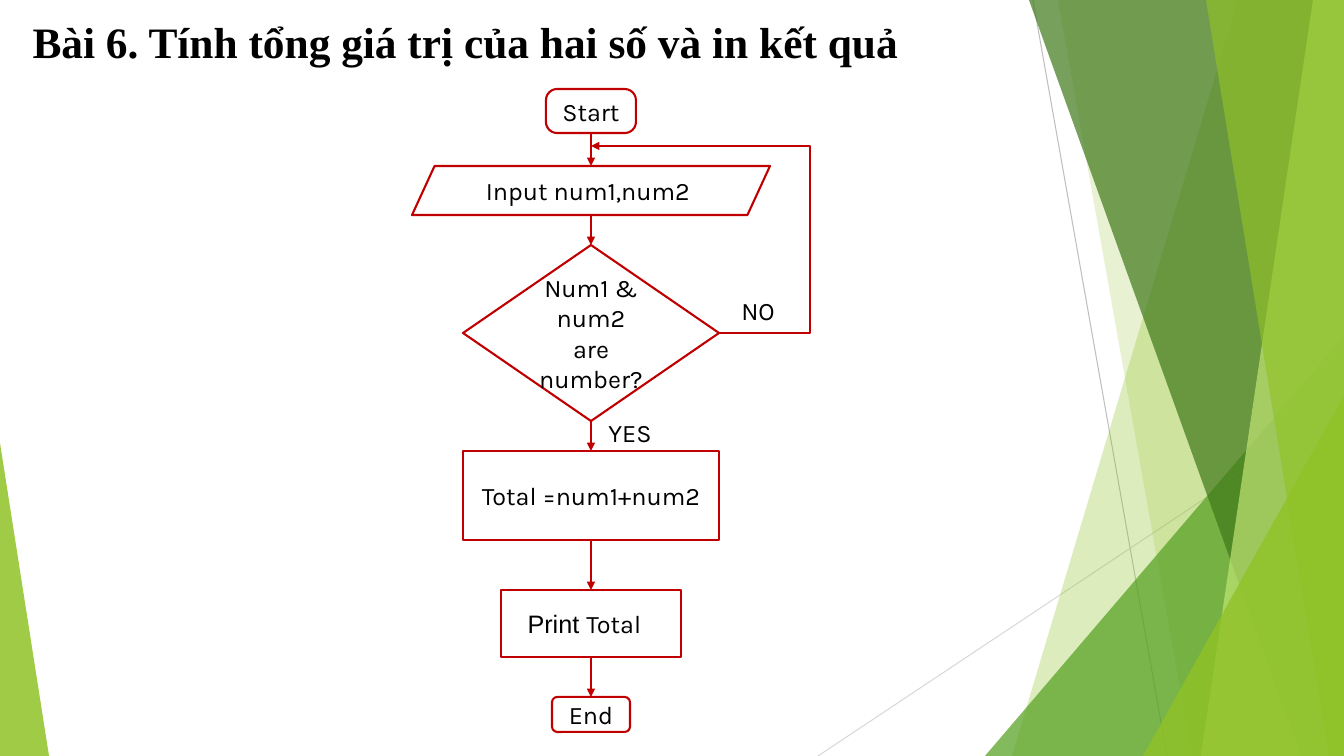
from itertools import pairwise

from lxml import etree
from pptx import Presentation
from pptx.dml.color import RGBColor
from pptx.enum.shapes import MSO_CONNECTOR as Link, MSO_SHAPE as Shape
from pptx.enum.text import MSO_ANCHOR as Anchor, PP_ALIGN as Align
from pptx.oxml.ns import qn
from pptx.util import Pt

PX = 914400 / 100.8
SLIDE_W, SLIDE_H = 1344, 756
RED, BLACK, LIME = "C00000", "000000", "90C226"
BODY = {"size": Pt(18), "name": "Karla"}
HEADING = {"size": Pt(31), "name": "Times New Roman", "bold": True}


def px(*lengths):
    return [round(length * PX) for length in lengths]


def colour(value):
    return RGBColor.from_string(value)


def set_values(target, values):
    for key, value in values.items():
        setattr(target, key, value)


def write(holder, runs, style, spacing=None, extra_right=0):
    frame = holder.text_frame
    set_values(frame, {"word_wrap": True, "vertical_anchor": Anchor.MIDDLE})
    if extra_right:
        frame.margin_right += px(extra_right)[0]
    paragraph = frame.paragraphs[0]
    set_values(paragraph, {"alignment": Align.CENTER, "line_spacing": spacing})
    for text, font_name in runs:
        run = paragraph.add_run()
        run.text = text
        set_values(run.font, {**style, "name": font_name or style["name"]})
        run.font.color.rgb = colour(BLACK)


def add_label(slide, box, text, style, spacing=None):
    label = slide.shapes.add_textbox(*px(*box))
    write(label, [(text, None)], style, spacing)


def add_line(slide, kind, ends, line_colour, width, arrow=False):
    line = slide.shapes.add_connector(kind, *px(*ends))
    line.line.color.rgb = colour(line_colour)
    line.line.width = Pt(width)
    if arrow:
        etree.SubElement(line.line._get_or_add_ln(), qn("a:tailEnd"), type="triangle")
    etree.SubElement(line._element.spPr, qn("a:effectLst"))
    return line


def fill_facet(facet, fill_colour, opacity):
    facet.shadow.inherit = False
    facet.line.fill.background()
    facet.fill.solid()
    facet.fill.fore_color.rgb = colour(fill_colour)
    tint = facet._element.spPr.find(qn("a:solidFill"))[0]
    etree.SubElement(tint, qn("a:alpha"), val=str(opacity * 1000))


def add_band(slide, box, top_x, bottom_x, fill_colour, opacity):
    left, top, width, height = box
    right, bottom = left + width, top + height
    outline = slide.shapes.build_freeform(left + top_x, top, scale=PX)
    outline.add_line_segments([(right, top), (right, bottom), (left + bottom_x, bottom)])
    fill_facet(outline.convert_to_shape(), fill_colour, opacity)


def add_corner(slide, box, tip, fill_colour, opacity):
    corner = slide.shapes.add_shape(Shape.ISOSCELES_TRIANGLE, *px(*box))
    corner.adjustments[0] = tip
    fill_facet(corner, fill_colour, opacity)


def draw_facets(slide, box):
    left, top, width, height = box
    right, bottom = left + width, top + height
    add_line(slide, Link.STRAIGHT, (left + 215, top, left + 349, bottom), "BFBFBF", 0.75)
    add_line(slide, Link.STRAIGHT, (right, top + 406, left, bottom), "D9D9D9", 0.75)
    facets = [
        ("band", 420, 194, LIME, 30),
        ("band", 240, 374, LIME, 20),
        ("corner", 359, 420, "54A021", 72),
        ("band", 211, 483, "3F7819", 70),
        ("band", 495, 383, "C0E474", 70),
        ("band", 388, 511, LIME, 65),
        ("corner", 201, 360, LIME, 80),
    ]
    for kind, first, second, fill_colour, opacity in facets:
        if kind == "band":
            add_band(slide, box, first, second, fill_colour, opacity)
        else:
            corner_box = (right - first, bottom - second, first, second)
            add_corner(slide, corner_box, 1, fill_colour, opacity)


def add_step(slide, box, kind, corner, runs, extra_right):
    step = slide.shapes.add_shape(kind, *px(*box))
    step.shadow.inherit = False
    step.fill.background()
    step.line.color.rgb = colour(RED)
    step.line.width = Pt(1.5)
    if corner is not None:
        step.adjustments[0] = corner
    write(step, runs, BODY, extra_right=extra_right)
    return step


def draw_flowchart(slide, box):
    left, top, width, height = box
    centre = left + 179
    plan = [
        (Shape.ROUNDED_RECTANGLE, 0, 90, 44, 0.254, [("Start", None)], 0),
        (Shape.PARALLELOGRAM, 77, 358, 49, 0.46, [("Input num1,num2", None)], 6),
        (Shape.DIAMOND, 156, 256, 176, None, [("Num1 & num2 are number?", None)], 0),
        (Shape.RECTANGLE, 362, 256, 89, None, [("Total =num1+num2", None)], 0),
        (Shape.RECTANGLE, 501, 180, 67, None, [("Print ", "Arial"), ("Total", None)], 13),
        (Shape.ROUNDED_RECTANGLE, 608, 78, 35, 0.149, [("End", None)], 0),
    ]
    steps = []
    for kind, offset, step_w, step_h, corner, runs, extra_right in plan:
        step_box = (centre - step_w // 2, top + offset, step_w, step_h)
        step = add_step(slide, step_box, kind, corner, runs, extra_right)
        steps.append((step, kind, step_box[1], step_box[1] + step_h))

    for (source, source_kind, _, start), (target, target_kind, end, _) in pairwise(steps):
        arrow = add_line(slide, Link.STRAIGHT, (centre, start, centre, end), RED, 1, True)
        if source_kind != Shape.PARALLELOGRAM:
            arrow.begin_connect(source, 2)
        if target_kind != Shape.PARALLELOGRAM:
            arrow.end_connect(target, 0)

    decision_right, decision_y, return_y = centre + 128, top + 244, top + 57
    ends = (decision_right, decision_y, centre, return_y)
    loop = add_line(slide, Link.ELBOW, ends, RED, 1, True)
    detour = round((left + width - decision_right) / (decision_right - centre) * 100000)
    guides = loop._element.spPr.find(qn("a:prstGeom")).get_or_add_avLst()
    etree.SubElement(guides, qn("a:gd"), name="adj1", fmla=f"val {-detour}")

    add_label(slide, (decision_right, top + 204, 78, 34), "NO", BODY)
    add_label(slide, (centre, top + 326, 78, 34), "YES", BODY)


def main():
    deck = Presentation()
    deck.slide_width, deck.slide_height = px(SLIDE_W, SLIDE_H)
    slide = deck.slides.add_slide(deck.slide_layouts[6])
    draw_facets(slide, (818, 0, SLIDE_W - 818, SLIDE_H))
    add_corner(slide, (0, 443, 49, 313), 0, LIME, 85)
    title = "Bài 6. Tính tổng giá trị của hai số và in kết quả"
    add_label(slide, (0, 8, 930, 72), title, HEADING, 0.9)
    draw_flowchart(slide, (412, 89, 398, 643))
    deck.save("out.pptx")


if __name__ == "__main__":
    main()
